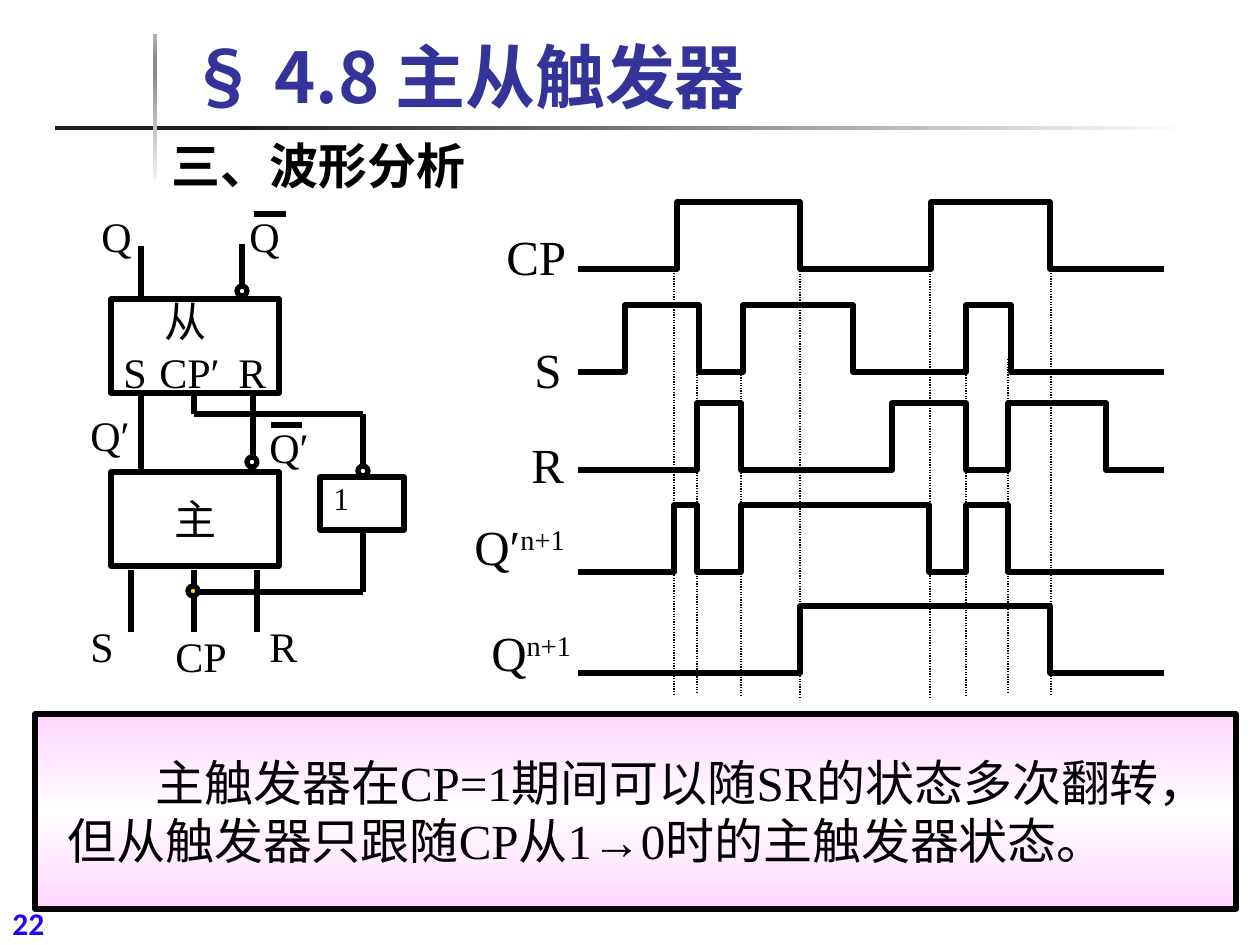
from lxml import etree
from pptx import Presentation
from pptx.dml.color import RGBColor
from pptx.enum.dml import MSO_LINE
from pptx.enum.shapes import MSO_CONNECTOR, MSO_SHAPE
from pptx.enum.text import MSO_ANCHOR, PP_ALIGN
from pptx.oxml.ns import qn
from pptx.util import Pt

RECT, OVAL = MSO_SHAPE.RECTANGLE, MSO_SHAPE.OVAL
STRAIGHT, DOTTED = MSO_CONNECTOR.STRAIGHT, MSO_LINE.ROUND_DOT
TOP, MIDDLE, BOTTOM = MSO_ANCHOR.TOP, MSO_ANCHOR.MIDDLE, MSO_ANCHOR.BOTTOM
CENTER = PP_ALIGN.CENTER
SCALE = 914400 / 126
SERIF, SANS = "Times New Roman", "Noto Sans CJK SC"
BLACK = "000000"
WAVE_LEFT, WAVE_RIGHT, WAVE_HEIGHT = 578, 1164, 67

WAVES = [
    (202, [677, 800, 931, 1050]),
    (305, [625, 699, 743, 853, 966, 1011]),
    (403, [697, 741, 892, 966, 1008, 1106]),
    (505, [674, 697, 741, 929, 966, 1008]),
    (606, [800, 1050]),
]
GUIDES = [
    (674, 268, 695), (800, 271, 698), (930, 271, 698), (1051, 268, 695),
    (697, 359, 693), (741, 362, 695), (966, 362, 695), (1008, 359, 693),
]
WAVE_LABELS = [
    ("CP", "", 494, 220), ("S", "", 522, 333), ("R", "", 519, 428),
    ("Q′", "n+1", 462, 510), ("Q", "n+1", 479, 616),
]
BLOCKS = [(111, 299, 168, 94), (111, 472, 168, 94), (320, 477, 84, 53)]
BUBBLES = [(237, 286), (247, 457), (358, 466)]
WIRES = [
    (141, 246, 141, 299), (242, 244, 242, 286),
    (141, 396, 141, 469), (253, 393, 253, 457),
    (194, 393, 194, 414), (194, 414, 363, 414), (363, 414, 363, 466),
    (131, 570, 131, 632), (194, 570, 194, 632), (257, 570, 257, 632),
    (363, 529, 363, 592), (363, 592, 194, 592),
    (254, 214, 286, 214), (271, 425, 302, 425),
]
GATE_LABELS = [
    ("Q", 89, 204), ("Q", 237, 204), ("从", 152, 289),
    ("S", 111, 340), ("CP′", 147, 340), ("R", 226, 340),
    ("Q′", 78, 403), ("Q′", 257, 415),
    ("S", 78, 614), ("CP", 163, 624), ("R", 257, 614),
]


def px(length):
    """Turn pixels into EMU."""
    return round(length * SCALE)


def color(value):
    """Return the colour of a hex string."""
    return RGBColor.from_string(value)


def stroke(line, width=3):
    """Make a line black with a width in points."""
    line.color.rgb = color(BLACK)
    line.width = Pt(width)


def gradient(shape, stops, angle):
    """Fill a shape with a linear gradient, angle clockwise in degrees."""
    shape.fill.gradient()
    fill = shape._element.spPr.find(qn("a:gradFill"))
    stop_list = fill.find(qn("a:gsLst"))
    for stop in list(stop_list):
        stop_list.remove(stop)
    for position, value in stops:
        stop = etree.SubElement(stop_list, qn("a:gs"), pos=str(position * 1000))
        etree.SubElement(stop, qn("a:srgbClr"), val=value)
    fill.find(qn("a:lin")).set("ang", str(angle * 60000))


def add_box(page, kind, x, y, width, height, outlined=True):
    """Add a hollow preset shape."""
    shape = page.shapes.add_shape(kind, px(x), px(y), px(width), px(height))
    shape.shadow.inherit = False
    shape.fill.background()
    if outlined:
        stroke(shape.line)
    else:
        shape.line.fill.background()
    return shape


def add_wire(page, x1, y1, x2, y2, width=3):
    """Add a straight black connector."""
    wire = page.shapes.add_connector(STRAIGHT, px(x1), px(y1), px(x2), px(y2))
    etree.SubElement(wire._element.spPr, qn("a:effectLst"))
    stroke(wire.line, width)
    return wire


def add_wave(page, top, edges):
    """Add a square wave that starts low and toggles at each edge."""
    low, level = top + WAVE_HEIGHT, top + WAVE_HEIGHT
    points = []
    for x in edges:
        points.append((x, level))
        level = top if level == low else low
        points.append((x, level))
    points.append((WAVE_RIGHT, level))
    builder = page.shapes.build_freeform(WAVE_LEFT, low, scale=SCALE)
    builder.add_line_segments(points, close=False)
    wave = builder.convert_to_shape()
    wave.shadow.inherit = False
    wave.fill.background()
    stroke(wave.line)


def write(frame, text, size, name=SERIF, value=BLACK, bold=False, raised=""):
    """Write one paragraph, with an optional superscript."""
    para = frame.paragraphs[0]
    para.add_run().text = text
    if raised:
        span = para.add_run()
        span.text = raised
        span.font._element.set("baseline", "30000")
    font = para.font
    font.name, font.size, font.bold = name, Pt(size), bold
    font.color.rgb = color(value)
    east = etree.Element(qn("a:ea"), typeface=SANS)
    font._element.find(qn("a:latin")).addnext(east)
    return para


def add_text(page, text, x, y, width, height, size, anchor=TOP, **style):
    """Add a wrapping text box and return its paragraph."""
    box = page.shapes.add_textbox(px(x), px(y), px(width), px(height))
    frame = box.text_frame
    frame.word_wrap = True
    frame.vertical_anchor = anchor
    return write(frame, text, size, **style)


def add_heading(page):
    """Add the rules, title, subtitle and page number."""
    rule = add_box(page, RECT, 55, 126, 1134, 4, outlined=False)
    gradient(rule, [(16, "1C1C1C"), (100, "FFFFFF")], 0)
    bar = add_box(page, RECT, 153, 34, 4, 145, outlined=False)
    gradient(bar, [(0, "F2F2F2"), (74, "8C8C8C"), (83, "8C8C8C"), (100, "B2B2B2")], 270)
    add_text(page, "22", 0, 898, 125, 47, 18, name="Calibri", value="1F08F8", bold=True)
    add_text(page, "§ 4.8 主从触发器", 176, 43, 959, 81, 40, BOTTOM,
             name=SANS, value="333399", bold=True)
    add_text(page, "三、波形分析", 159, 129, 321, 72, 28, name=SANS, bold=True)


def add_timing(page):
    """Add the timing diagram."""
    for x, top, bottom in GUIDES:
        add_wire(page, x, top, x, bottom, 0.75).line.dash_style = DOTTED
    for top, edges in WAVES:
        add_wave(page, top, edges)
    for text, raised, x, y in WAVE_LABELS:
        add_text(page, text, x, y, 150, 72, 28, raised=raised)


def add_circuit(page):
    """Add the flip-flop circuit."""
    slave, master, inverter = [add_box(page, RECT, *block) for block in BLOCKS]
    for wire in WIRES:
        add_wire(page, *wire)
    for x, y in BUBBLES:
        add_box(page, OVAL, x, y, 10, 10)
    junction = add_box(page, OVAL, 188, 586, 10, 10)
    junction.fill.solid()
    junction.fill.fore_color.rgb = color("FFCF01")
    master.text_frame.vertical_anchor = MIDDLE
    write(master.text_frame, "主", 24).alignment = CENTER
    for text, x, y in GATE_LABELS:
        add_text(page, text, x, y, 100, 63, 24)
    add_text(page, "1", 321, 473, 50, 50, 18)


def add_summary(page):
    """Add the framed conclusion."""
    panel = add_box(page, RECT, 35, 714, 1201, 195)
    gradient(panel, [(0, "FFD5FF"), (50, "FFFFFF"), (100, "FFD5FF")], 90)
    para = add_text(page, "主触发器在CP=1期间可以随SR的状态多次翻转，但从触发器只跟随CP从1→0时的主触发器状态。",
                    55, 746, 1169, 130, 28)
    para._p.get_or_add_pPr().set("indent", str(px(88)))


def main():
    """Build and save the slide."""
    deck = Presentation()
    deck.slide_width, deck.slide_height = px(1260), px(945)
    page = deck.slides.add_slide(deck.slide_layouts[6])
    add_heading(page)
    add_timing(page)
    add_circuit(page)
    add_summary(page)
    deck.save("out.pptx")


if __name__ == "__main__":
    main()
